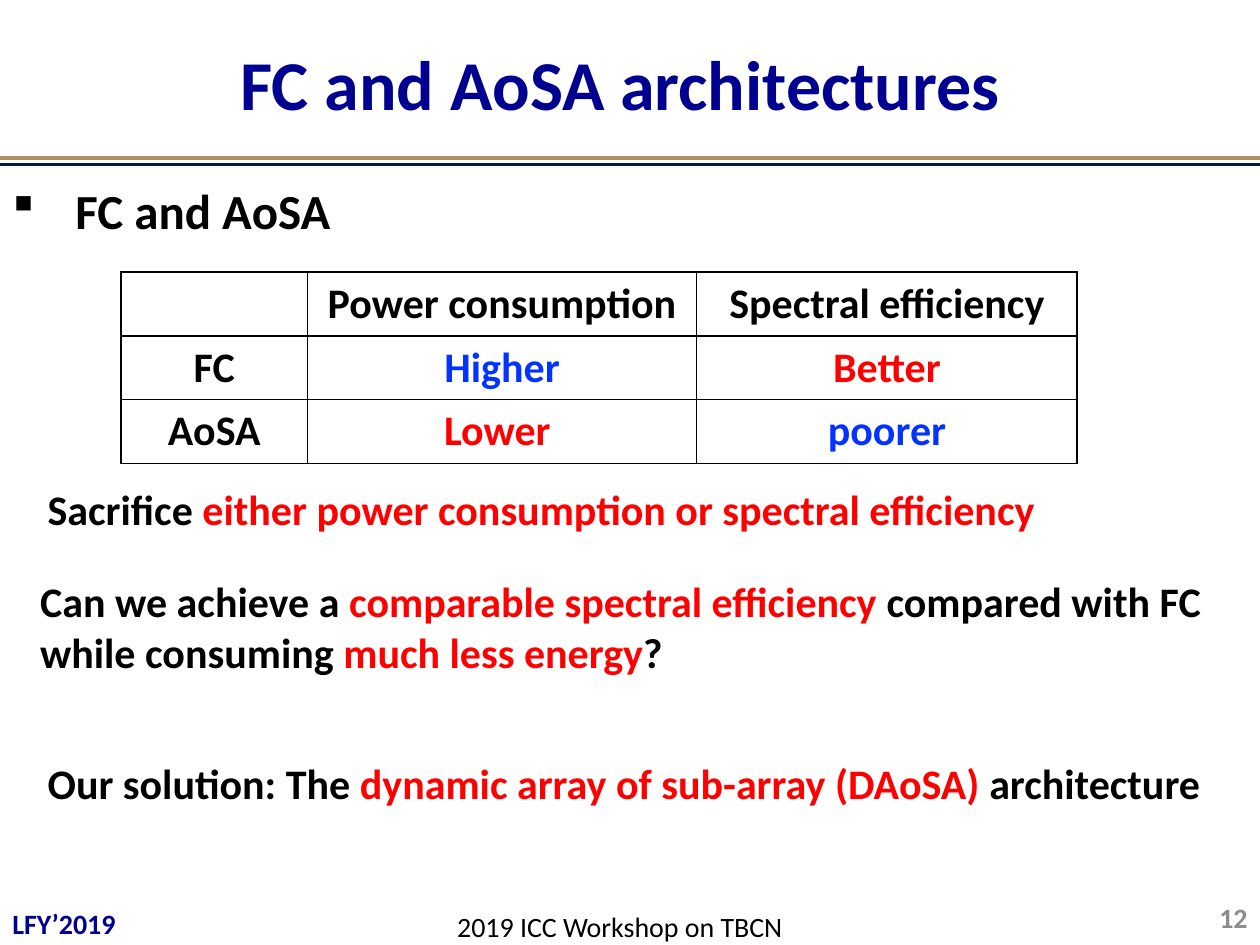
import dataclasses

import lxml.etree
import pptx
import pptx.dml.color
import pptx.enum.shapes
import pptx.enum.text
import pptx.oxml
import pptx.oxml.ns
import pptx.util

ALIGN = pptx.enum.text.PP_ALIGN
MIDDLE = pptx.enum.text.MSO_ANCHOR.MIDDLE
TOP = pptx.enum.text.MSO_ANCHOR.TOP
COLUMNS, ROWS = 100, 75


@dataclasses.dataclass(frozen=True)
class Theme:
    """Hold the font, colours and type sizes of the slide."""
    font: str = "Calibri"
    ink: str = "000000"
    navy: str = "000090"
    red: str = "FF0000"
    blue: str = "0432FF"
    grey: str = "8C8C8C"
    gold: str = "AF8F61"
    midnight: str = "031C3E"
    title: int = 40
    heading: int = 28
    body: int = 24
    footer: int = 16
    rule: int = 2
    border: int = 1


THEME = Theme()


def rgb(color):
    """Turn a hex string into a colour."""
    return pptx.dml.color.RGBColor.from_string(color)


def grid(prs, left, top, width, height):
    """Turn grid columns and rows into slide lengths."""
    col, row = prs.slide_width / COLUMNS, prs.slide_height / ROWS
    return [round(n) for n in (left * col, top * row, width * col, height * row)]


def write(tf, runs, size, align=ALIGN.LEFT, bold=True):
    """Fill the first paragraph with (text, colour) runs."""
    p = tf.paragraphs[0]
    p.alignment = align
    for text, color in runs:
        r = p.add_run()
        r.text = text
        values = {"name": THEME.font, "size": pptx.util.Pt(size), "bold": bold}
        for name, value in values.items():
            setattr(r.font, name, value)
        r.font.color.rgb = rgb(color)
    return p


def add_text(s, box, runs, size, anchor=TOP, wrap=True, **style):
    """Add a text box and return its paragraph."""
    tf = s.shapes.add_textbox(*box).text_frame
    tf.word_wrap = wrap
    tf.vertical_anchor = anchor
    return write(tf, runs, size, **style)


def add_header(s, box, text):
    """Format the title and draw the two rules at the foot of the box."""
    left, top, width, height = box
    sp = s.shapes.title
    places = {"left": round(left + width * 0.12), "top": top,
              "width": round(width * 0.744), "height": height}
    for name, value in places.items():
        setattr(sp, name, value)
    sp.text_frame.vertical_anchor = MIDDLE
    write(sp.text_frame, [(text, THEME.navy)], THEME.title, ALIGN.CENTER)
    for share, color in ((0.98, THEME.gold), (1.02, THEME.midnight)):
        y = round(top + height * share)
        rule = s.shapes.add_connector(
            pptx.enum.shapes.MSO_CONNECTOR.STRAIGHT, left, y, left + width, y)
        rule.line.color.rgb = rgb(color)
        rule.line.width = pptx.util.Pt(THEME.rule)
        lxml.etree.SubElement(rule._element.spPr, pptx.oxml.ns.qn("a:effectLst"))


def add_bullet(s, box, text):
    """Add the square-bulleted heading."""
    p = add_text(s, box, [(text, THEME.ink)], THEME.heading)
    p.space_before = pptx.util.Pt(THEME.heading * 0.2)
    pPr = p._p.get_or_add_pPr()
    indent = pptx.util.Inches(0.5)
    pPr.set("marL", str(indent))
    pPr.set("indent", str(-indent))
    for tag, name, value in (("buFont", "typeface", "Wingdings"), ("buChar", "char", "§")):
        lxml.etree.SubElement(pPr, pptx.oxml.ns.qn(f"a:{tag}")).set(name, value)


def add_borders(cell):
    """Draw a thin solid line on every side of a cell."""
    tcPr = cell._tc.get_or_add_tcPr()
    for side in ("lnL", "lnR", "lnT", "lnB"):
        tcPr.append(pptx.oxml.parse_xml(
            f'<a:{side} {pptx.oxml.ns.nsdecls("a")} w="{pptx.util.Pt(THEME.border)}">'
            f'<a:solidFill><a:srgbClr val="{THEME.ink}"/></a:solidFill></a:{side}>'))


def add_comparison(s, box, rows, shares):
    """Add the comparison table with columns sized by shares."""
    table = s.shapes.add_table(len(rows), len(shares), *box).table
    table.first_row = table.horz_banding = False
    for column, share in zip(table.columns, shares):
        column.width = round(box[2] * share / sum(shares))
    for i, row in enumerate(rows):
        for j, (text, color) in enumerate(row):
            cell = table.cell(i, j)
            add_borders(cell)
            cell.fill.background()
            if text:
                write(cell.text_frame, [(text, color)], THEME.body, ALIGN.CENTER)


def add_footer(prs, s, top):
    """Add the author mark, the event and the page number."""
    add_text(s, grid(prs, 0, top + 0.6, 10.3, 3.7), [("LFY’2019", THEME.navy)],
             THEME.footer, MIDDLE, wrap=False)
    add_text(s, grid(prs, 35.3, top + 0.9, 28.2, 3.7),
             [("2019 ICC Workshop on TBCN", THEME.ink)],
             THEME.footer, MIDDLE, wrap=False, bold=False)
    add_text(s, grid(prs, 76.7, top, 23.3, 4), [("12", THEME.grey)],
             THEME.footer, MIDDLE, align=ALIGN.RIGHT)


def main():
    """Build and save the slide."""
    prs = pptx.Presentation()
    prs.slide_width, prs.slide_height = pptx.util.Inches(10), pptx.util.Inches(7.5)
    s = prs.slides.add_slide(prs.slide_layouts.get_by_name("Title Only"))
    ink, red, blue = THEME.ink, THEME.red, THEME.blue
    add_header(s, grid(prs, 0, 0.3, 100, 12.5), "FC and AoSA architectures")
    add_bullet(s, grid(prs, 0, 13.8, 100, 6), "FC and AoSA")
    add_comparison(s, grid(prs, 9.6, 21.6, 75.9, 15.2), [
        [("", ink), ("Power consumption", ink), ("Spectral efficiency", ink)],
        [("FC", ink), ("Higher", blue), ("Better", red)],
        [("AoSA", ink), ("Lower ", red), ("poorer", blue)],
    ], (1.48, 3.09, 3.02))
    statements = [
        ((2.8, 37.9, 96.7, 5), [
            ("Sacrifice ", ink), ("either power consumption or spectral efficiency", red)]),
        ((2.2, 45.2, 94.1, 12.1), [
            ("Can we achieve a ", ink), ("comparable spectral efficiency ", red),
            ("compared with FC while consuming ", ink), ("much less energy", red),
            ("?", ink)]),
        ((2.8, 59.6, 95.4, 5), [
            ("Our solution: The ", ink), ("dynamic array of sub-array (DAoSA)", red),
            (" architecture", ink)]),
    ]
    for place, runs in statements:
        add_text(s, grid(prs, *place), runs, THEME.body)
    add_footer(prs, s, 70.8)
    prs.save("out.pptx")


if __name__ == "__main__":
    main()
